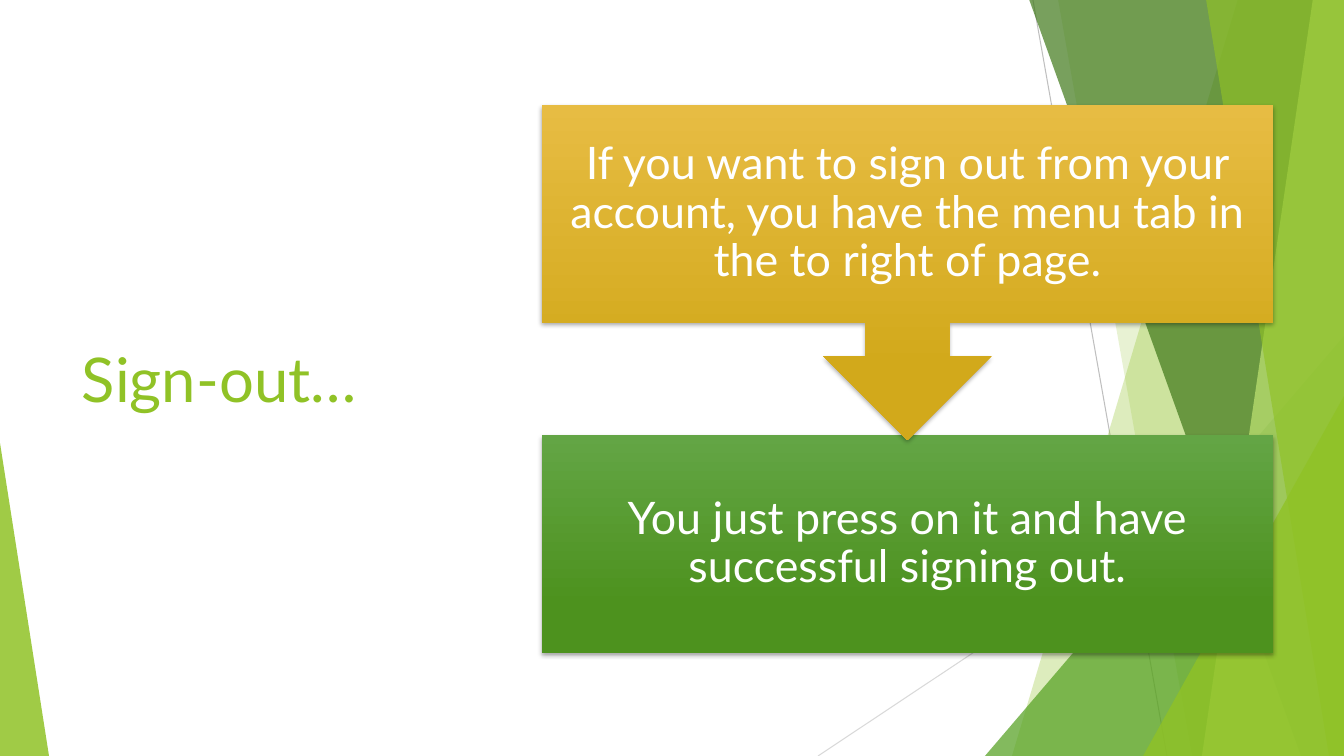
from dataclasses import dataclass

from lxml.etree import SubElement
from pptx import Presentation
from pptx.dml.color import RGBColor
from pptx.enum.shapes import MSO_CONNECTOR, MSO_SHAPE
from pptx.enum.text import MSO_ANCHOR, PP_ALIGN
from pptx.oxml.ns import qn
from pptx.util import Emu, Pt

PX = 914400 / 100.8  # EMU in one px
W, H = 1344, 756


@dataclass(frozen=True)
class Theme:
    font: str = "Lato"
    title_size: int = 44
    step_size: int = 32
    lime: str = "90C226"
    green: str = "54A021"
    dark: str = "3F7819"
    pale: str = "C0E474"
    white: str = "FFFFFF"
    gold_step: tuple[str, str] = ("E7BC43", "D2A91B")
    green_step: tuple[str, str] = ("63A545", "4D921E")


@dataclass(frozen=True)
class Ray:
    start: tuple[int, int]
    end: tuple[int, int]
    color: str


@dataclass(frozen=True)
class Band:
    """Full-height band from a slanted left edge to the slide's right edge."""
    top: int
    bottom: int
    color: str
    alpha: int


@dataclass(frozen=True)
class Wedge:
    """Triangle standing on the slide's bottom edge."""
    left: int
    top: int
    width: int
    apex: int
    color: str
    alpha: int


@dataclass(frozen=True)
class Step:
    text: str
    shape: MSO_SHAPE
    top: int
    height: int
    colors: tuple[str, str]


T = Theme()
RAYS = [Ray((1033, 0), (1167, H), "BFBFBF"), Ray((W, 406), (818, H), "D9D9D9")]
FACETS = [
    Band(1238, 1012, T.lime, 30),
    Band(1058, 1192, T.lime, 20),
    Wedge(985, 336, 359, 1, T.green, 72),
    Band(1029, 1301, T.dark, 70),
    Band(1313, 1202, T.pale, 70),
    Band(1206, 1329, T.lime, 65),
    Wedge(1143, 396, 201, 1, T.lime, 80),
    Wedge(0, 443, 49, 0, T.lime, 85),
]
STEPS = [
    Step("You just press on it and have successful signing out.",
         MSO_SHAPE.RECTANGLE, 435, 218, T.green_step),
    Step("If you want to sign out from your account, you have the menu tab in "
         "the to right of page.",
         MSO_SHAPE.DOWN_ARROW_CALLOUT, 105, 335, T.gold_step),
]
STEP_LEFT, STEP_WIDTH, STEP_INSET = 542, 731, 25


def px(n: int) -> Emu:
    return Emu(round(n * PX))


def rgb(color: str) -> RGBColor:
    return RGBColor.from_string(color)


def write(tf, text: str, *, size: int, color: str, align: PP_ALIGN,
          inset: int = 10, spacing: float = 1.0) -> None:
    tf.word_wrap = True
    tf.vertical_anchor = MSO_ANCHOR.MIDDLE
    tf.margin_left = tf.margin_right = tf.margin_top = tf.margin_bottom = px(inset)
    p = tf.paragraphs[0]
    p.alignment, p.line_spacing = align, spacing
    r = p.add_run()
    r.text = text
    r.font.name, r.font.size, r.font.color.rgb = T.font, Pt(size), rgb(color)


def add_ray(s, ray: Ray) -> None:
    line = s.shapes.add_connector(MSO_CONNECTOR.STRAIGHT,
                                  *map(px, ray.start + ray.end))
    line.line.color.rgb, line.line.width = rgb(ray.color), Pt(0.75)
    SubElement(line._element.spPr, qn("a:effectLst"))


def add_facet(s, facet: Band | Wedge) -> None:
    if isinstance(facet, Band):
        outline = s.shapes.build_freeform(facet.top, -1, scale=PX)
        outline.add_line_segments([(W, -1), (W, H), (facet.bottom, H)], close=True)
        sp = outline.convert_to_shape()
    else:
        sp = s.shapes.add_shape(MSO_SHAPE.ISOSCELES_TRIANGLE, px(facet.left),
                                px(facet.top), px(facet.width), px(H - facet.top))
        sp.adjustments[0] = facet.apex
    sp.shadow.inherit = False
    sp.line.fill.background()
    sp.fill.solid()
    sp.fill.fore_color.rgb = rgb(facet.color)
    clr = sp._element.spPr.find(qn("a:solidFill"))[0]
    SubElement(clr, qn("a:alpha"), val=str(facet.alpha * 1000))


def add_shadow(sp) -> None:
    sp.shadow.inherit = False
    effects = sp._element.spPr.find(qn("a:effectLst"))
    shadow = SubElement(effects, qn("a:outerShdw"), blurRad=str(Pt(3)),
                        dist=str(Pt(2)), dir="5400000", rotWithShape="0")
    clr = SubElement(shadow, qn("a:srgbClr"), val="000000")
    SubElement(clr, qn("a:alpha"), val="35000")


def add_step(s, step: Step) -> None:
    sp = s.shapes.add_shape(step.shape, px(STEP_LEFT), px(step.top),
                            px(STEP_WIDTH), px(step.height))
    sp.line.fill.background()
    sp.fill.gradient()
    sp.fill.gradient_angle = 270
    for stop, color, position in zip(sp.fill.gradient_stops, step.colors, (0, 0.78)):
        stop.color.rgb, stop.position = rgb(color), position
    add_shadow(sp)
    write(sp.text_frame, step.text, size=T.step_size, color=T.white,
          align=PP_ALIGN.CENTER, inset=STEP_INSET, spacing=0.9)


def main() -> None:
    prs = Presentation()
    prs.slide_width, prs.slide_height = px(W), px(H)
    s = prs.slides.add_slide(prs.slide_layouts[5])

    # Faceted background
    for ray in RAYS:
        add_ray(s, ray)
    for facet in FACETS:
        add_facet(s, facet)

    # Title
    title = s.shapes.title
    title.left, title.top, title.width, title.height = map(px, (72, 152, 391, 452))
    write(title.text_frame, "Sign-out…", size=T.title_size, color=T.lime,
          align=PP_ALIGN.LEFT)

    # Steps, the last one first so that its arrow lies on top
    for step in STEPS:
        add_step(s, step)

    prs.save("out.pptx")


if __name__ == "__main__":
    main()
